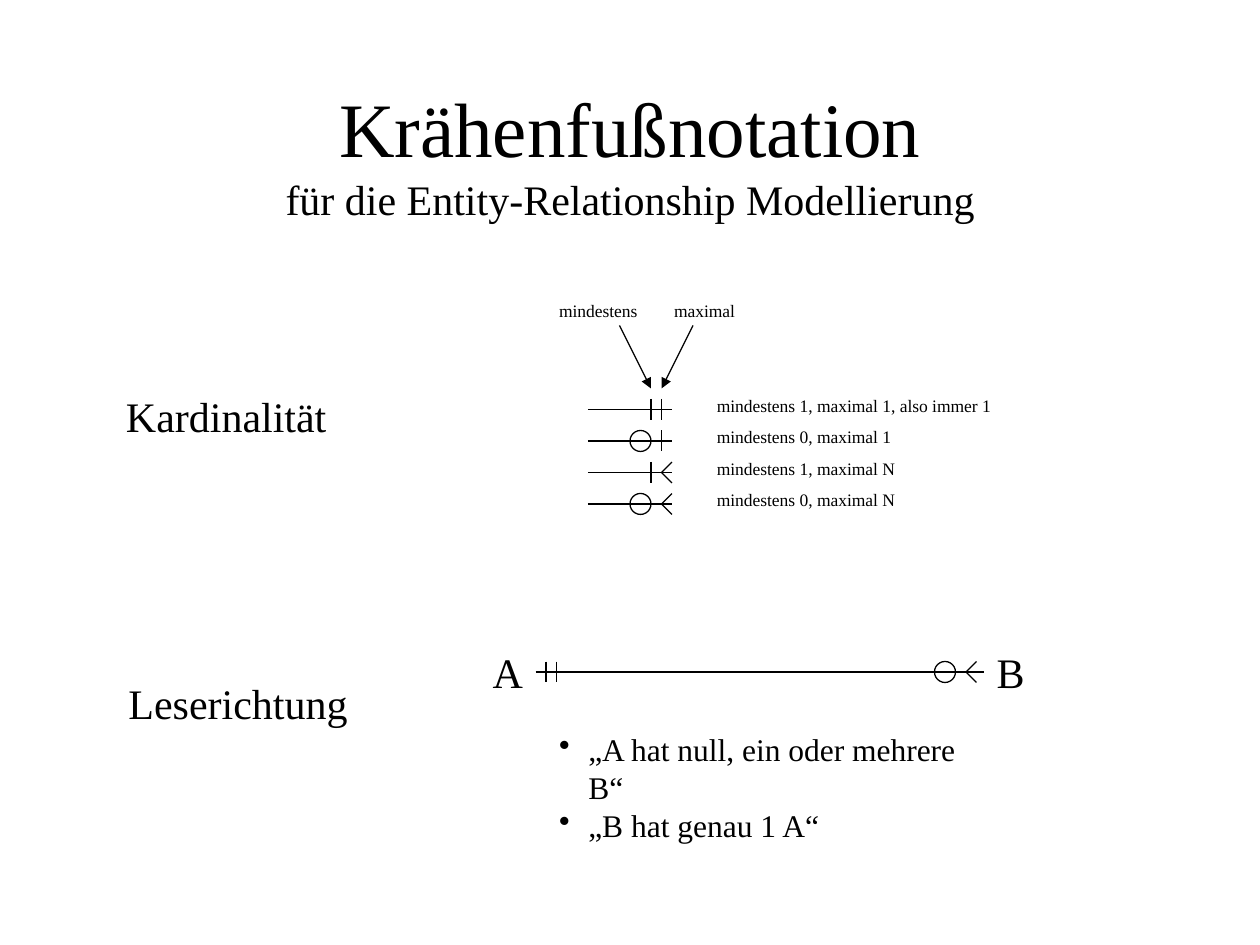
from dataclasses import dataclass

from lxml import etree
from pptx import Presentation
from pptx.dml.color import RGBColor
from pptx.enum.shapes import MSO_CONNECTOR, MSO_SHAPE
from pptx.enum.text import MSO_ANCHOR, MSO_AUTO_SIZE, PP_ALIGN
from pptx.oxml.ns import qn
from pptx.util import Cm, Pt

STRAIGHT = MSO_CONNECTOR.STRAIGHT
OVAL = MSO_SHAPE.OVAL
MIDDLE = MSO_ANCHOR.MIDDLE
CENTER = PP_ALIGN.CENTER
GROW = MSO_AUTO_SIZE.SHAPE_TO_FIT_TEXT
FIXED = MSO_AUTO_SIZE.NONE
LEFT_SIDE, RIGHT_SIDE = 1, 3

FONT = "Times New Roman"
BLACK = "000000"
GRID = 2.54 / 12  # cm; the notation symbols sit on this grid


@dataclass
class Label:
    text: str
    left: float
    top: float
    width: float
    height: float
    size: float


@dataclass
class Cardinality:
    text: str
    text_width: float
    optional: bool
    many: bool


def grid(units: float) -> Cm:
    return Cm(units * GRID)


def color(hex_value: str) -> RGBColor:
    return RGBColor.from_string(hex_value)


def add_label(slide, label: Label, wrap: bool = False):
    box = slide.shapes.add_textbox(
        Cm(label.left), Cm(label.top), Cm(label.width), Cm(label.height))
    frame = box.text_frame
    frame.word_wrap = wrap
    frame.auto_size = FIXED if wrap else GROW
    frame.text = label.text
    for paragraph in frame.paragraphs:
        for run in paragraph.runs:
            run.font.name = FONT
            run.font.size = Pt(label.size)
            run.font.color.rgb = color(BLACK)
    return box


def add_bullet(paragraph) -> None:
    properties = paragraph._p.get_or_add_pPr()
    properties.set("marL", str(Cm(0.59)))
    properties.set("indent", str(Cm(-0.59)))
    etree.SubElement(properties, qn("a:buChar")).set("char", "•")


def add_line(slide, x1: float, y1: float, x2: float, y2: float,
             arrow: bool = False):
    line = slide.shapes.add_connector(
        STRAIGHT, grid(x1), grid(y1), grid(x2), grid(y2))
    line.line.color.rgb = color(BLACK)
    line.line.width = Pt(0.75)
    if arrow:
        tail = etree.SubElement(line.line._get_or_add_ln(), qn("a:tailEnd"))
        tail.set("type", "triangle")
    etree.SubElement(line._element.spPr, qn("a:effectLst"))
    return line


def add_one(slide, x: float, y: float) -> None:
    add_line(slide, x, y - 1, x, y + 1)


def add_zero(slide, x: float, y: float) -> None:
    circle = slide.shapes.add_shape(
        OVAL, grid(x - 1), grid(y - 1), grid(2), grid(2))
    circle.shadow.inherit = False
    circle.fill.background()
    circle.line.color.rgb = color(BLACK)
    circle.line.width = Pt(0.75)


def add_crow_foot(slide, x: float, y: float) -> None:
    for toe in (-1, 1):
        add_line(slide, x + 1, y + toe, x, y)


def main() -> None:
    prs = Presentation()
    prs.slide_width, prs.slide_height = Cm(25.4), Cm(19.05)
    slide = prs.slides.add_slide(prs.slide_layouts[6])

    # Title with subtitle
    title = add_label(slide, Label(
        "Krähenfußnotation\vfür die Entity-Relationship Modellierung",
        1.91, 1.48, 21.59, 3.18, 44), wrap=True)
    title.text_frame.vertical_anchor = MIDDLE
    heading = title.text_frame.paragraphs[0]
    heading.alignment = CENTER
    heading.runs[1].font.size = Pt(24)

    # Section names and arrow captions
    for label in (
        Label("Kardinalität", 2.29, 7.75, 4.55, 1.27, 24),
        Label("Leserichtung", 2.34, 13.54, 4.93, 1.27, 24),
        Label("mindestens", 11.02, 5.92, 2.08, 0.69, 10),
        Label("maximal", 13.34, 5.92, 1.73, 0.69, 10),
    ):
        add_label(slide, label)
    add_line(slide, 59, 31, 62, 37, arrow=True)
    add_line(slide, 66, 31, 63, 37, arrow=True)

    # The four cardinalities
    cardinalities = (
        Cardinality("mindestens 1, maximal 1, also immer 1", 6.12, False, False),
        Cardinality("mindestens 0, maximal 1", 4.1, True, False),
        Cardinality("mindestens 1, maximal N", 4.17, False, True),
        Cardinality("mindestens 0, maximal N", 4.17, True, True),
    )
    for row, cardinality in enumerate(cardinalities):
        y = 39 + 3 * row
        add_line(slide, 56, y, 64, y)
        if cardinality.optional:
            add_zero(slide, 61, y)
        else:
            add_one(slide, 62, y)
        if cardinality.many:
            add_crow_foot(slide, 63, y)
        else:
            add_one(slide, 63, y)
        add_label(slide, Label(
            cardinality.text, 14.2, (y - 2) * GRID,
            cardinality.text_width, 0.69, 10))

    # Relationship between A and B
    entity_a = add_label(slide, Label("A", 9.68, 12.91, 1.12, 1.27, 24))
    entity_b = add_label(slide, Label("B", 19.84, 12.91, 1.07, 1.27, 24))
    relationship = add_line(slide, 51, 64, 93.75, 64)
    relationship.begin_connect(entity_a, RIGHT_SIDE)
    relationship.end_connect(entity_b, LEFT_SIDE)
    add_one(slide, 52, 64)
    add_one(slide, 53, 64)
    add_zero(slide, 90, 64)
    add_crow_foot(slide, 92, 64)

    # How to read it
    reading = add_label(slide, Label(
        "„A hat null, ein oder mehrere B“\n„B hat genau 1 A“",
        11.02, 14.6, 9.02, 1.78, 18), wrap=True)
    for paragraph in reading.text_frame.paragraphs:
        add_bullet(paragraph)

    prs.save("out.pptx")


if __name__ == "__main__":
    main()
